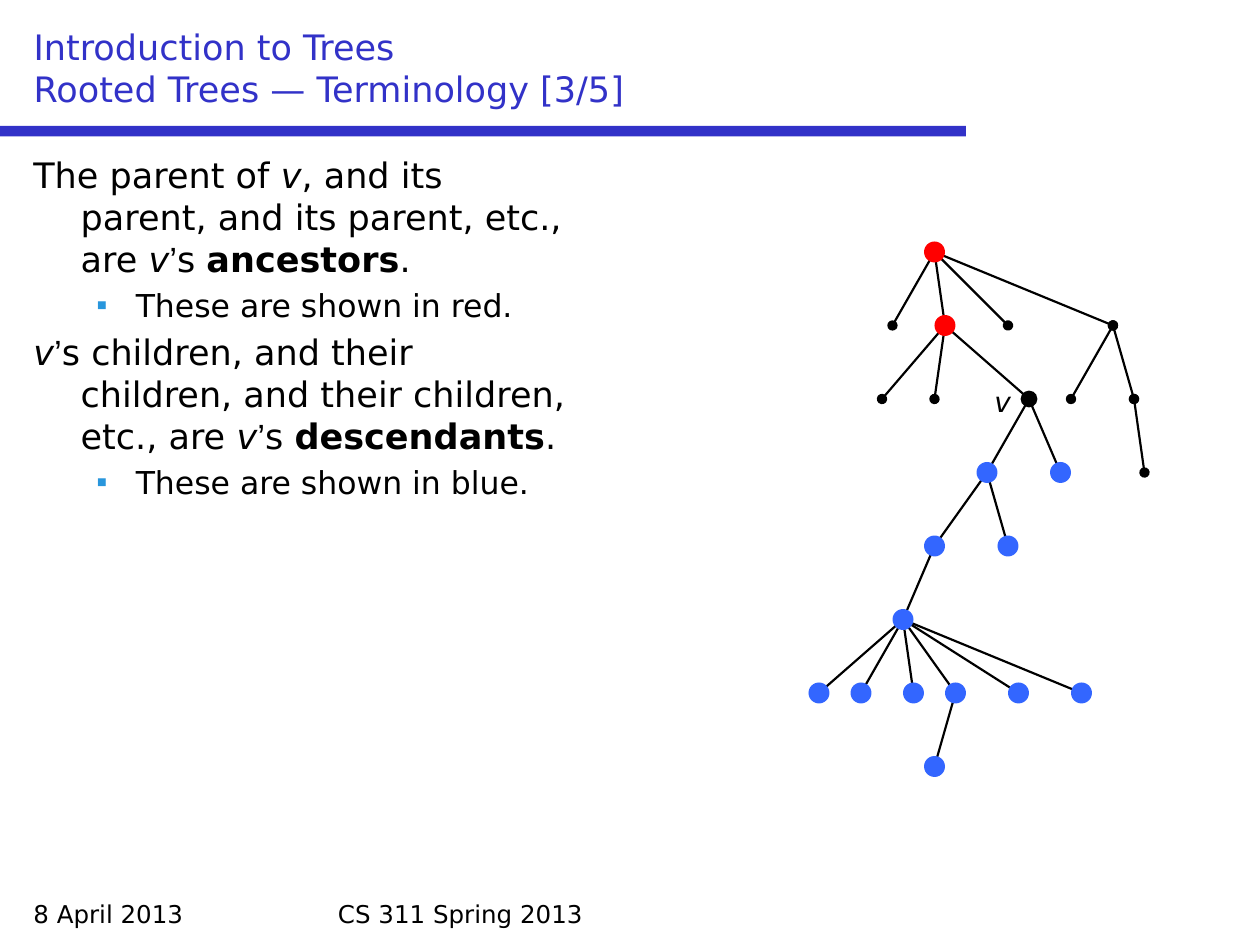
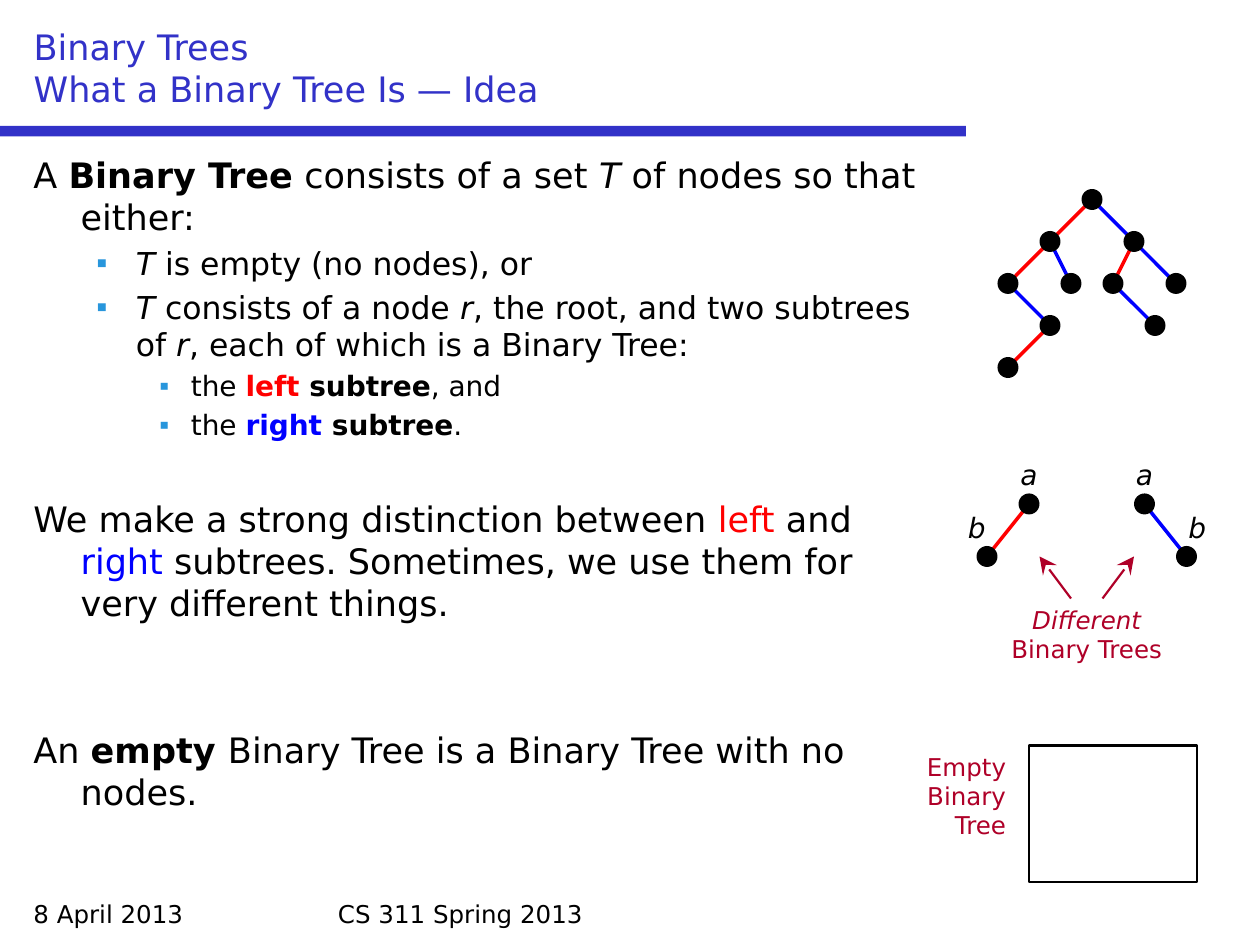
import pptx
import pptx.dml.color
import pptx.enum.shapes
import pptx.enum.text
import pptx.oxml
import pptx.oxml.ns
import pptx.util

Pt = pptx.util.Pt
SHAPE = pptx.enum.shapes.MSO_SHAPE
ALIGN = pptx.enum.text.PP_ALIGN
ANCHOR = pptx.enum.text.MSO_ANCHOR

FONT = "DejaVu Sans"
BLACK, RED, BLUE = "000000", "FF0000", "0000FF"
TITLE, BULLET, NOTE, DESCENDANT = "3232C8", "2896DC", "AF0028", "3366FF"
GRID = 6
LEVELS = [(20, 27, -27), (18, 58.5, -22.5), (16, 90, -18)]

I = {"italic": True}
B = {"bold": True}
APOSTROPHE = ("’", {"font": "Arial"})
OVAL = {"type": "oval"}
STEALTH = {"type": "stealth", "w": "lg", "len": "lg"}


def rgb(color):
    return pptx.dml.color.RGBColor.from_string(color)


def xml(tag, **attributes):
    el = pptx.oxml.parse_xml(f"<{tag} {pptx.oxml.ns.nsdecls('a')}/>")
    for name, value in attributes.items():
        el.set(name, str(value))
    return el


def add_text(p, text, size=20, color=BLACK, font=FONT, bold=False, italic=False):
    for i, line in enumerate(text.split("\n")):
        if i:
            p.add_line_break()
        r = p.add_run()
        r.text = line
        r.font.size = Pt(size)
        r.font.name = font
        r.font.bold = bold
        r.font.italic = italic
        r.font.color.rgb = rgb(color)


def add_runs(p, runs, **base):
    for run in runs:
        text, fmt = (run, {}) if isinstance(run, str) else run
        add_text(p, text, **{**base, **fmt})


class Deck:
    def __init__(self):
        self.prs = pptx.Presentation()
        self.prs.slide_width, self.prs.slide_height = Pt(720), Pt(540)
        self.s = None

    def slide(self, title):
        self.s = self.prs.slides.add_slide(self.prs.slide_layouts[5])
        self.shape(SHAPE.RECTANGLE, 0, 72, 552, 6, fill=TITLE)
        self.label(12, 510, 168, 24, ["8 April 2013"])
        self.label(186, 510, 348, 24, ["CS 311 Spring 2013"])
        sp = self.s.shapes.title
        sp.left, sp.top, sp.width, sp.height = Pt(12), Pt(12), Pt(696), Pt(54)
        tf = sp.text_frame
        tf.auto_size = pptx.enum.text.MSO_AUTO_SIZE.NONE
        tf.vertical_anchor = ANCHOR.BOTTOM
        tf.paragraphs[0].alignment = ALIGN.LEFT
        add_text(tf.paragraphs[0], title, color=TITLE)

    def box(self, x, y, w, h):
        tf = self.s.shapes.add_textbox(Pt(x), Pt(y), Pt(w), Pt(h)).text_frame
        tf.word_wrap = True
        return tf

    def label(self, x, y, w, h, runs, align=ALIGN.LEFT, size=14, **fmt):
        p = self.box(x, y, w, h).paragraphs[0]
        p.alignment = align
        add_runs(p, runs, size=size, **fmt)

    def body(self, width, paragraphs):
        tf = self.box(12, 84, width, 420)
        for i, (level, gap, *runs) in enumerate(paragraphs):
            p = tf.add_paragraph() if i else tf.paragraphs[0]
            size, margin, indent = LEVELS[level]
            p_pr = p._p.get_or_add_pPr()
            p_pr.set("marL", str(Pt(margin)))
            p_pr.set("indent", str(Pt(indent)))
            if level:
                color = xml("a:buClr")
                color.append(xml("a:srgbClr", val=BULLET))
                p_pr.extend([color, xml("a:buFont", typeface="Arial"),
                             xml("a:buChar", char="▪")])
            p.space_before = Pt(size * 0.2 + gap if i else 0)
            add_runs(p, runs, size=size)

    def shape(self, kind, x, y, w, h, fill=None, line=None):
        sp = self.s.shapes.add_shape(kind, Pt(x), Pt(y), Pt(w), Pt(h))
        sp.shadow.inherit = False
        if fill:
            sp.fill.solid()
            sp.fill.fore_color.rgb = rgb(fill)
        else:
            sp.fill.background()
        if line:
            sp.line.color.rgb = rgb(line)
            sp.line.width = Pt(1.25)
        else:
            sp.line.fill.background()

    def dot(self, x, y, color, size=12):
        self.shape(SHAPE.OVAL, x * GRID - size / 2, y * GRID - size / 2, size, size, fill=color)

    def line(self, start, end, color, width=1.25, head=None, tail=None):
        points = [Pt(v * GRID) for v in (*start, *end)]
        c = self.s.shapes.add_connector(pptx.enum.shapes.MSO_CONNECTOR.STRAIGHT, *points)
        c.line.color.rgb = rgb(color)
        c.line.width = Pt(width)
        ln = c.line._get_or_add_ln()
        for tag, arrow in (("a:headEnd", head), ("a:tailEnd", tail)):
            if arrow:
                ln.append(xml(tag, **arrow))
        c._element.spPr.append(xml("a:effectLst"))

    def tree(self, nodes, **edge):
        for x, y, parent, color, _ in nodes.values():
            if parent:
                self.line(nodes[parent][:2], (x, y), color, **edge)
        for x, y, _, _, dot in nodes.values():
            if dot:
                self.dot(x, y, dot)


def terminology(deck):
    deck.slide("Introduction to Trees\nRooted Trees — Terminology [3/5]")
    deck.body(696, [
        (0, 0, "The parent of ", ("v", I), ", and its\nparent, and its parent, etc.,\nare ",
         ("v", I), APOSTROPHE, "s ", ("ancestors", B), "."),
        (1, 0, "These are shown in red."),
        (0, 0, ("v", I), APOSTROPHE,
         "s children, and their\nchildren, and their children,\netc., are ",
         ("v", I), APOSTROPHE, "s ", ("descendants", B), "."),
        (1, 0, "These are shown in blue."),
    ])
    family = [
        ("root", 89, 0, None, RED),
        ("n1", 85, 1, "root", None),
        ("parent", 90, 1, "root", RED),
        ("n3", 96, 1, "root", None),
        ("n4", 106, 1, "root", None),
        ("n5", 84, 2, "parent", None),
        ("n6", 89, 2, "parent", None),
        ("v", 98, 2, "parent", None),
        ("n7", 102, 2, "n4", None),
        ("n8", 108, 2, "n4", None),
        ("n9", 109, 3, "n8", None),
        ("d1", 94, 3, "v", DESCENDANT),
        ("d2", 101, 3, "v", DESCENDANT),
        ("d3", 89, 4, "d1", DESCENDANT),
        ("d4", 96, 4, "d1", DESCENDANT),
        ("d5", 86, 5, "d3", DESCENDANT),
    ]
    family += [(f"leaf{x}", x, 6, "d5", DESCENDANT) for x in (78, 82, 87, 91, 97, 103)]
    family.append(("last", 89, 7, "leaf91", DESCENDANT))
    deck.tree({name: (x, 24 + 7 * level, parent, BLACK, dot)
               for name, x, level, parent, dot in family}, head=OVAL, tail=OVAL)
    deck.dot(98, 38, BLACK, size=9.6)
    deck.label(552, 216, 42, 26.4, ["v"], ALIGN.CENTER, size=16, italic=True)


def binary_trees(deck):
    deck.slide("Binary Trees\nWhat a Binary Tree Is — Idea")
    deck.body(528, [
        (0, 0, "A ", ("Binary Tree", B), " consists of a set ", ("T", I),
         " of nodes so that either:"),
        (1, 0, ("T", I), " is empty (no nodes), or"),
        (1, 0, ("T", I), " consists of a node ", ("r", I),
         ", the root, and two subtrees of ", ("r", I), ", each of which is a Binary Tree:"),
        (2, 0, "the ", ("left", {"color": RED, **B}), (" subtree", B), ", and"),
        (2, 0, "the ", ("right", {"color": BLUE, **B}), (" subtree", B), "."),
        (0, 28, "We make a strong distinction between ", ("left", {"color": RED}), " and ",
         ("right", {"color": BLUE}),
         " subtrees. Sometimes, we use them for very different things."),
        (0, 56, "An ", ("empty ", B), "Binary Tree is a Binary Tree with no nodes."),
    ])
    example = [
        ("root", 104, 0, None, BLACK),
        ("l", 100, 1, "root", RED),
        ("r", 108, 1, "root", BLUE),
        ("ll", 96, 2, "l", RED),
        ("lr", 102, 2, "l", BLUE),
        ("rl", 106, 2, "r", RED),
        ("rr", 112, 2, "r", BLUE),
        ("llr", 100, 3, "ll", BLUE),
        ("rlr", 110, 3, "rl", BLUE),
        ("llrl", 96, 4, "llr", RED),
    ]
    deck.tree({name: (x, 19 + 4 * level, parent, color, BLACK)
               for name, x, level, parent, color in example}, width=2)

    for a_x, b_x, b_label, color in ((98, 94, 546, RED), (109, 113, 672, BLUE)):
        deck.tree({"a": (a_x, 48, None, color, BLACK),
                   "b": (b_x, 53, "a", color, BLACK)}, width=2)
        for text, x, y in (("a", a_x * GRID - 12, 258), ("b", b_label, 288)):
            deck.label(x, y, 24, 26.4, [text], ALIGN.CENTER, size=16, italic=True)
    for start, end in ((102, 99), (105, 108)):
        deck.line((start, 57), (end, 53), NOTE, tail=STEALTH)
    deck.label(564, 342, 114, 42, [("Different", I), " Binary Trees"], ALIGN.CENTER, color=NOTE)

    deck.shape(SHAPE.RECTANGLE, 588, 426, 96, 78, line=BLACK)
    deck.label(510, 426, 72, 58, ["Empty Binary Tree"], ALIGN.RIGHT, color=NOTE)


def main():
    deck = Deck()
    terminology(deck)
    binary_trees(deck)
    deck.prs.save("out.pptx")


if __name__ == "__main__":
    main()
